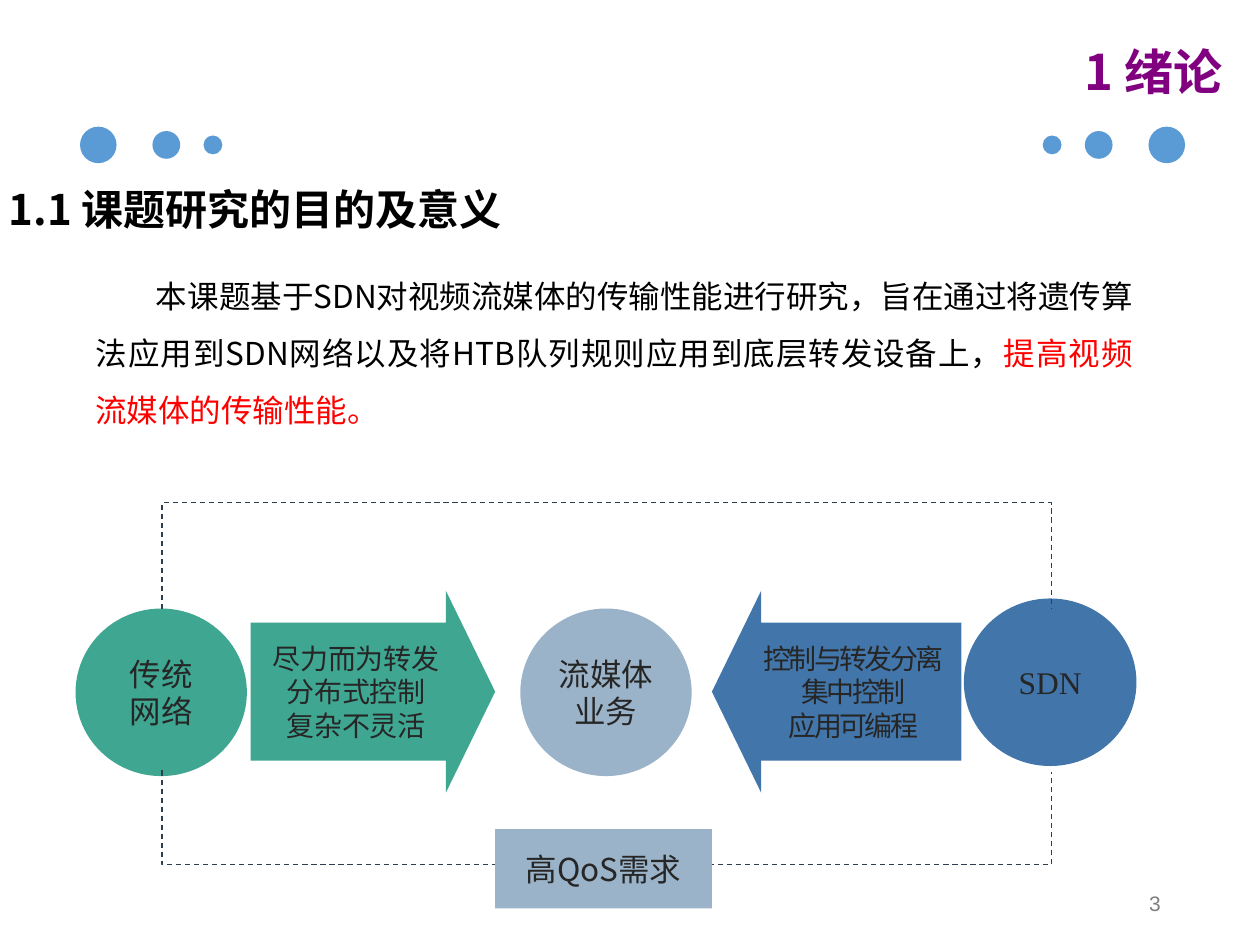
from lxml.etree import SubElement
from pptx import Presentation
from pptx.dml.color import RGBColor
from pptx.enum.dml import MSO_LINE
from pptx.enum.shapes import MSO_CONNECTOR as Link, MSO_SHAPE as Form
from pptx.enum.text import MSO_ANCHOR as Anchor, PP_ALIGN as Align
from pptx.oxml.ns import qn
from pptx.util import Inches, Pt

THEME = {
    "dot": "5B9BD5", "green": "3FA692", "blue": "4276AA", "gray": "9BB3C8",
    "rail": "2C3F50", "title": "800080", "black": "000000", "red": "FF0000",
    "dark": "262626", "page": "808080",
    "sans": "Noto Sans CJK SC", "body": "Calibri",
    "serif": "Times New Roman", "num": "Arial",
    "title_pt": 28, "head_pt": 24, "text_pt": 18, "arrow_pt": 16, "num_pt": 12,
}

TITLE = "1 绪论"
HEAD = "1.1 课题研究的目的及意义"
INTRO = [
    ("本课题基于SDN对视频流媒体的传输性能进行研究，旨在通过将遗传算法应用到SDN网络"
     "以及将HTB队列规则应用到底层转发设备上，", "black"),
    ("提高视频流媒体的传输性能。", "red"),
]
PAGE = "3"

# Dots on the left: centre x and diameter; the right side mirrors them
DOTS = [(0.78, 0.29), (1.32, 0.22), (1.69, 0.15)]
DOT_Y, MIRROR = 1.15, 10.04

# Form, box, fill, text, font, size
NODES = [
    (Form.OVAL, (0.6, 4.83, 1.36, 1.33), "green", "传统\n网络", "body", "text_pt"),
    (Form.OVAL, (7.65, 4.75, 1.37, 1.33), "blue", "SDN", "serif", "text_pt"),
    (Form.RIGHT_ARROW, (1.99, 4.69, 1.94, 1.6), "green",
     "尽力而为转发\n分布式控制\n复杂不灵活", "sans", "arrow_pt"),
    (Form.LEFT_ARROW, (5.65, 4.69, 1.98, 1.6), "blue",
     "控制与转发分离\n集中控制\n应用可编程", "sans", "arrow_pt"),
]
FRONT = [
    (Form.RECTANGLE, (3.93, 6.58, 1.72, 0.63), "gray", "高QoS需求", "sans", "text_pt"),
    (Form.OVAL, (4.13, 4.83, 1.36, 1.33), "gray", "流媒体业务", "body", "text_pt"),
]
ARROW = (0.685, 0.244)
TIGHT = -150

# Rails: y of the ends, depth, turn in degrees, flips
RAILS = [(4.83, 0.86, 90, ("flipH", "flipV")), (6.12, 0.76, 270, ("flipH",))]
RAIL_MID, RAIL_SPAN, RAIL_GAP = 4.81, 7.06, 0.01


def color(name):
    return RGBColor.from_string(THEME[name])


def style(run, font, size, ink, bold=False):
    face = run.font
    face.name, face.size, face.bold = THEME[font], Pt(THEME[size]), bold
    face.color.rgb = color(ink)
    east = THEME["sans"] if font == "body" else THEME[font]
    SubElement(face._element, qn("a:ea")).set("typeface", east)


def add_form(slide, form, box, fill):
    shape = slide.shapes.add_shape(form, *map(Inches, box))
    shape.shadow.inherit = False
    shape.fill.solid()
    shape.fill.fore_color.rgb = color(fill)
    shape.line.fill.background()
    return shape


def add_node(slide, form, box, fill, text, font, size):
    shape = add_form(slide, form, box, fill)
    if form in (Form.RIGHT_ARROW, Form.LEFT_ARROW):
        shape.adjustments[0], shape.adjustments[1] = ARROW
    frame = shape.text_frame
    frame.text, frame.word_wrap = text, True
    frame.vertical_anchor = Anchor.MIDDLE
    for para in frame.paragraphs:
        para.alignment = Align.CENTER
        for run in para.runs:
            style(run, font, size, "dark")
            if form == Form.LEFT_ARROW:
                run.font._element.set("spc", str(TIGHT))


def add_text(slide, box, parts, font, size, align, bold=False):
    """Add one paragraph of (text, colour) parts and return its frame."""
    frame = slide.shapes.add_textbox(*map(Inches, box)).text_frame
    frame.word_wrap = True
    para = frame.paragraphs[0]
    para.alignment = align
    for text, ink in parts:
        run = para.add_run()
        run.text = text
        style(run, font, size, ink, bold)
    return frame


def add_rail(slide, y, depth, turn, flips):
    """Add a dashed three-sided elbow: a thin tall frame, turned on its side."""
    top = y - RAIL_SPAN / 2
    rail = slide.shapes.add_connector(
        Link.ELBOW, *map(Inches, (RAIL_MID, top, RAIL_MID + RAIL_GAP, top + RAIL_SPAN)))
    rail.line.color.rgb = color("rail")
    rail.line.width = Pt(0.75)
    rail.line.dash_style = MSO_LINE.DASH
    props = rail._element.spPr
    SubElement(props, qn("a:effectLst"))
    frame = props.find(qn("a:xfrm"))
    frame.set("rot", str(turn * 60000))
    for flip in flips:
        frame.set(flip, "1")
    guides = props.find(qn("a:prstGeom")).find(qn("a:avLst"))
    guide = SubElement(guides, qn("a:gd"))
    guide.set("name", "adj1")
    guide.set("fmla", f"val {round(depth / RAIL_GAP * 100000)}")


def main():
    deck = Presentation()
    deck.slide_width, deck.slide_height = Inches(10), Inches(7.5)
    slide = deck.slides.add_slide(deck.slide_layouts[6])

    for mid, size in DOTS:
        for x in (mid, MIRROR - mid):
            box = (x - size / 2, DOT_Y - size / 2, size, size)
            add_form(slide, Form.OVAL, box, "dot")

    add_text(slide, (7.99, 0.28, 1.81, 0.57), [(TITLE, "title")],
             "sans", "title_pt", Align.RIGHT, True)
    add_text(slide, (-0.03, 1.41, 4.29, 0.51), [(HEAD, "black")],
             "sans", "head_pt", Align.LEFT, True)
    intro = add_text(slide, (0.66, 2, 8.43, 1.51), INTRO,
                     "sans", "text_pt", Align.JUSTIFY).paragraphs[0]
    intro.line_spacing = 1.5
    intro._p.get_or_add_pPr().set("indent", str(Inches(0.48)))

    for node in NODES:
        add_node(slide, *node)
    for rail in RAILS:
        add_rail(slide, *rail)
    for node in FRONT:
        add_node(slide, *node)

    page = add_text(slide, (7.06, 6.95, 2.25, 0.4), [(PAGE, "page")],
                    "num", "num_pt", Align.RIGHT)
    page.vertical_anchor = Anchor.MIDDLE
    page.paragraphs[0].line_spacing = 1.2
    deck.save("out.pptx")


if __name__ == "__main__":
    main()
